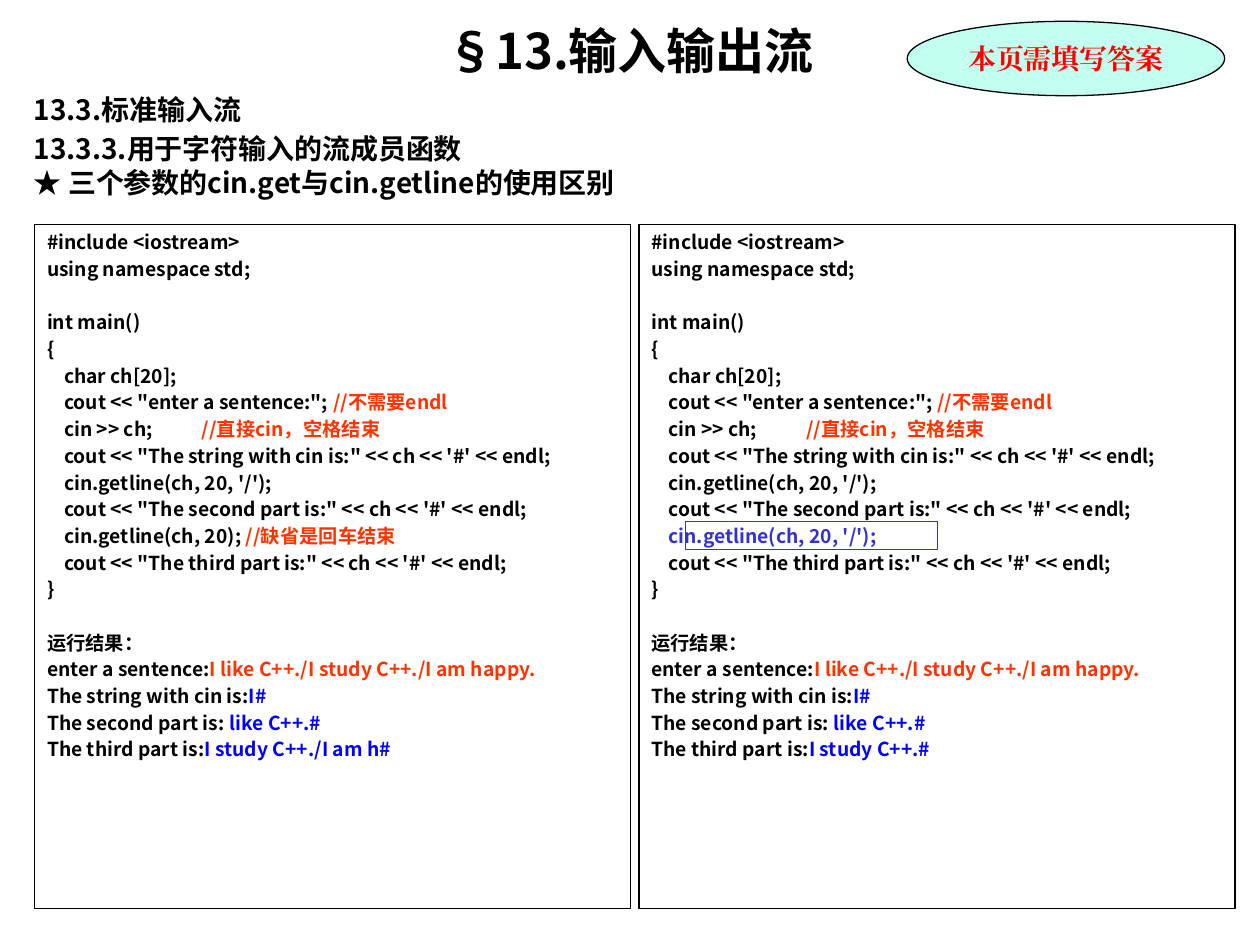
from lxml import etree
from pptx import Presentation
from pptx import util as u
from pptx.dml.color import RGBColor
from pptx.enum import shapes, text
from pptx.oxml.ns import qn

SANS = "Noto Sans CJK SC"
BLACK, ORANGE, BLUE, INDIGO = "000000", "FF3300", "0000FF", "3333CC"


def color(hex_value):
    return RGBColor.from_string(hex_value)


def add_span(para, content, size, hex_value=BLACK, font=SANS):
    span = para.add_run()
    span.text = content
    span.font.size = u.Pt(size)
    span.font.bold = True
    span.font.name = font
    span.font.color.rgb = color(hex_value)
    etree.SubElement(span.font._element, qn("a:ea"), typeface=font)


def set_frame(box, insets=(0, 0), anchor=text.MSO_ANCHOR.TOP):
    frame = box.text_frame
    frame.word_wrap = True
    frame.auto_size = text.MSO_AUTO_SIZE.NONE
    frame.vertical_anchor = anchor
    frame.margin_left = frame.margin_right = u.Pt(insets[0])
    frame.margin_top = frame.margin_bottom = u.Pt(insets[1])
    return frame


def next_para(frame, index):
    return frame.add_paragraph() if index else frame.paragraphs[0]


def place(box, left, top, width, height):
    box.left, box.top = u.Pt(left), u.Pt(top)
    box.width, box.height = u.Pt(width), u.Pt(height)


def add_outline(page, kind, bounds, line=BLACK, fill=None):
    box = page.shapes.add_shape(kind, *[u.Pt(value) for value in bounds])
    box.shadow.inherit = False
    box.line.color.rgb = color(line)
    box.line.width = u.Pt(0.75)
    if fill:
        box.fill.solid()
        box.fill.fore_color.rgb = color(fill)
    else:
        box.fill.background()
    return box


def set_title(page, content):
    title = page.shapes.title
    place(title, 12, 11.5, 696, 42)
    para = set_frame(title).paragraphs[0]
    para.alignment = text.PP_ALIGN.CENTER
    add_span(para, content, 28)


def set_headings(page, headings):
    body = page.placeholders[1]
    place(body, 19.4, 52.5, 676, 66)
    frame = set_frame(body)
    for index, lines in enumerate(headings):
        para = next_para(frame, index)
        para.line_spacing = u.Pt(19.5)
        para.space_before = u.Pt(3 if index else 0)
        properties = para._p.get_or_add_pPr()
        properties.set("marL", "0")
        properties.set("indent", "0")
        etree.SubElement(properties, qn("a:buNone"))
        for number, line in enumerate(lines):
            if number:
                para.add_line_break()
            add_span(para, line, 16)


def set_tabs(para, stops):
    tabs = etree.SubElement(para._p.get_or_add_pPr(), qn("a:tabLst"))
    for stop in stops:
        etree.SubElement(tabs, qn("a:tab"), pos=str(u.Pt(stop)), algn="l")


def add_code_panel(page, left, lines):
    panel = add_outline(page, shapes.MSO_SHAPE.RECTANGLE, (left, 128.2, 340.6, 391))
    frame = set_frame(panel, (7.2, 3.6))
    gap = 0
    index = 0
    for line in lines:
        if not line:
            gap = 15.25
            continue
        para = next_para(frame, index)
        para.alignment = text.PP_ALIGN.LEFT
        para.line_spacing = u.Pt(13.25)
        para.space_before = u.Pt(2 + gap)
        set_tabs(para, (9.75, 88.5))
        for content, hex_value in line:
            add_span(para, content, 11, hex_value)
        gap = 0
        index += 1


def add_badge(page, content):
    badge = add_outline(page, shapes.MSO_SHAPE.OVAL, (518.4, 12.2, 181.4, 42.5), fill="C2FFF0")
    para = set_frame(badge, anchor=text.MSO_ANCHOR.MIDDLE).paragraphs[0]
    para.alignment = text.PP_ALIGN.CENTER
    add_span(para, content, 16, "FF0000", "Times New Roman")


def plain(content):
    return [(content, BLACK)]


def marked(content, mark, hex_value):
    return [(content, BLACK), (mark, hex_value)]


def print_line(part):
    return plain(f"\tcout << \"The {part} is:\" << ch << '#' << endl;")


def program(third_read, third_result):
    return [
        plain("#include <iostream>"),
        plain("using namespace std;"),
        None,
        plain("int main()"),
        plain("{"),
        plain("\tchar ch[20];"),
        marked('\tcout << "enter a sentence:"; ', "//不需要endl", ORANGE),
        marked("\tcin >> ch;\t", "//直接cin，空格结束", ORANGE),
        print_line("string with cin"),
        plain("\tcin.getline(ch, 20, '/');"),
        print_line("second part"),
        third_read,
        print_line("third part"),
        plain("}"),
        None,
        plain("运行结果："),
        marked("enter a sentence:", "I like C++./I study C++./I am happy.", ORANGE),
        marked("The string with cin is:", "I#", BLUE),
        marked("The second part is: ", "like C++.#", BLUE),
        marked("The third part is:", third_result, BLUE),
    ]


def main():
    deck = Presentation()
    deck.slide_width, deck.slide_height = u.Pt(720), u.Pt(540)
    page = deck.slides.add_slide(deck.slide_layouts[1])
    set_title(page, "§13.输入输出流")
    set_headings(page, [
        ["13.3.标准输入流"],
        ["13.3.3.用于字符输入的流成员函数", "★ 三个参数的cin.get与cin.getline的使用区别"],
    ])
    default_end = marked("\tcin.getline(ch, 20); ", "//缺省是回车结束", ORANGE)
    slash_end = [("\tcin.getline(ch, 20, '/');", INDIGO)]
    add_code_panel(page, 19.8, program(default_end, "I study C++./I am h#"))
    add_badge(page, "本页需填写答案")
    add_code_panel(page, 365.2, program(slash_end, "I study C++.#"))
    add_outline(page, shapes.MSO_SHAPE.RECTANGLE, (391.7, 298.1, 144, 15.8), INDIGO)
    deck.save("out.pptx")


main()
